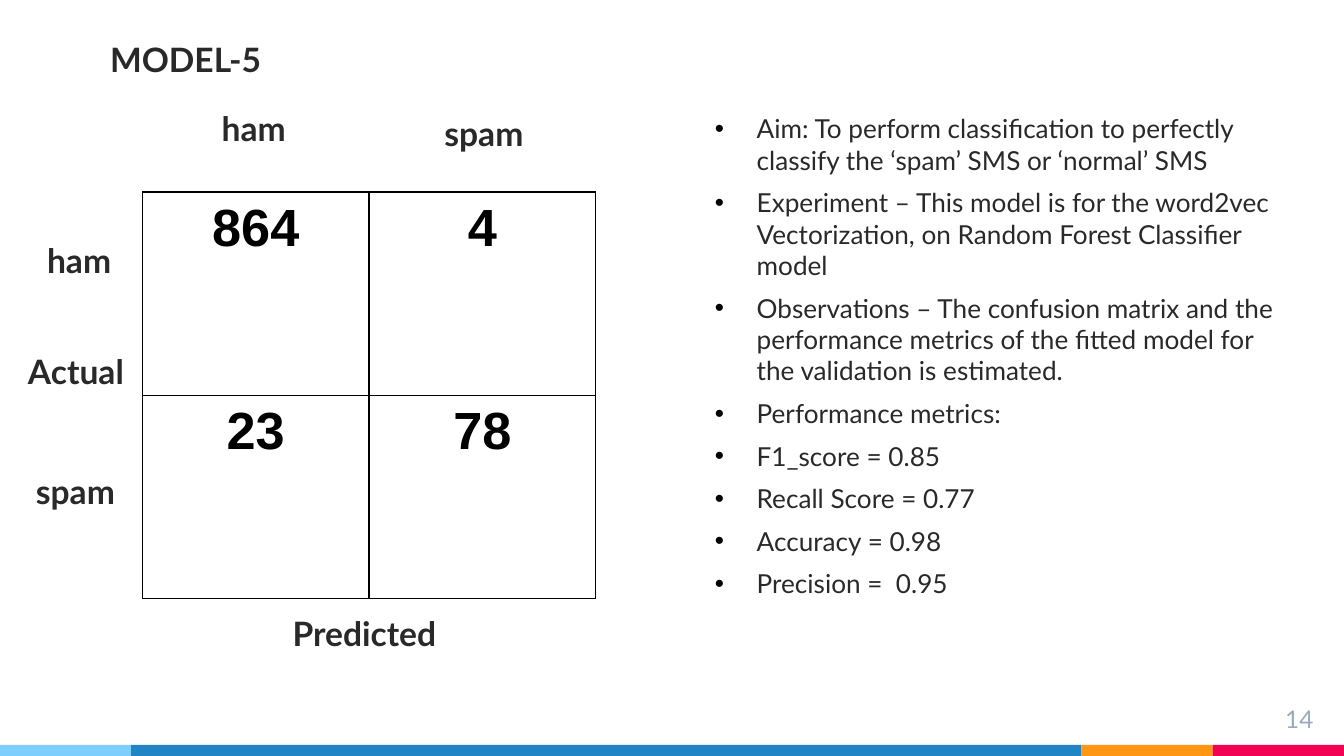
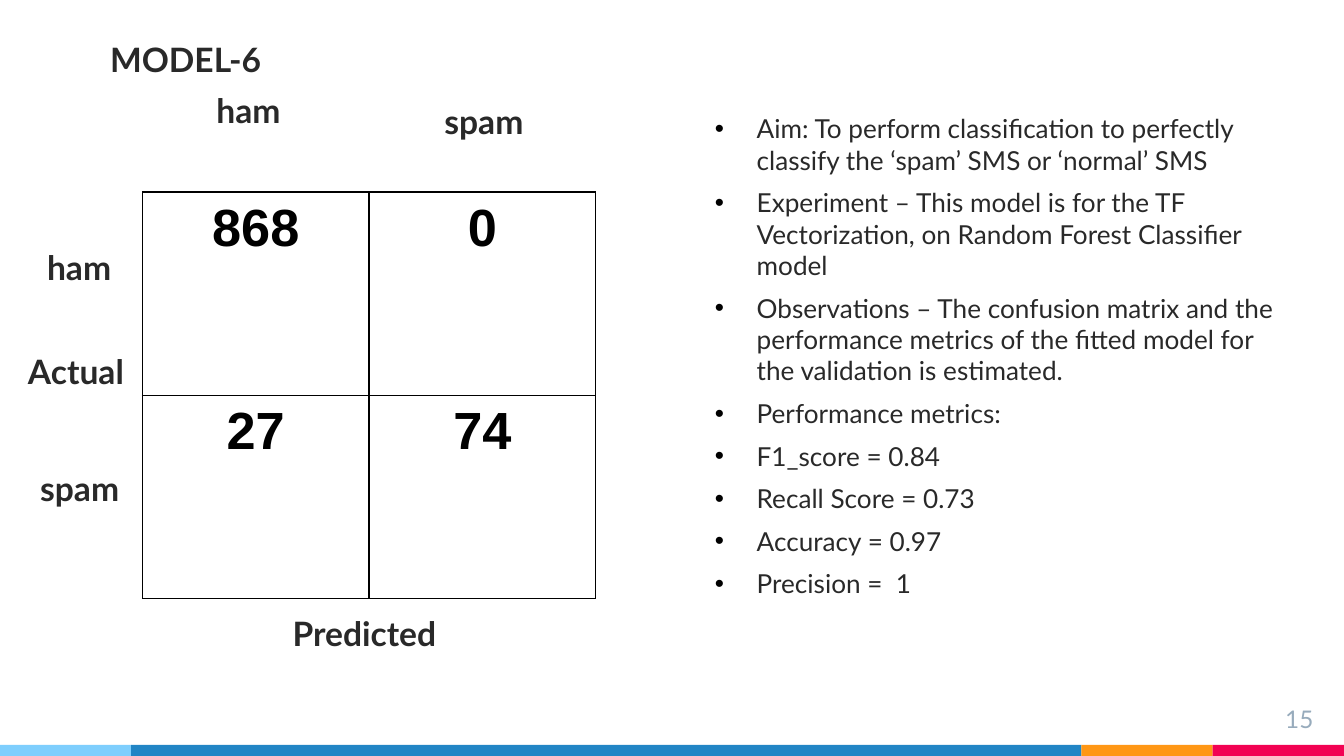
"""Builds two slides that report the confusion matrices of spam classifiers."""
from itertools import product

from pptx import Presentation
from pptx.dml.color import RGBColor
from pptx.enum.shapes import MSO_SHAPE
from pptx.enum.text import MSO_ANCHOR, MSO_AUTO_SIZE, PP_ALIGN
from pptx.oxml import parse_xml
from pptx.oxml.ns import nsdecls
from pptx.util import Cm, Pt

INK, BLACK, PAGE_GREY = "292929", "000000", "97ABBC"
SIDE_BAND = 2.48
BANDS = [
    ("7ECEFD", SIDE_BAND),
    ("2185C5", 25.4 - 3 * SIDE_BAND),
    ("FF9715", SIDE_BAND),
    ("F20253", SIDE_BAND),
]

MODELS = [
    {
        "title": "MODEL-5",
        "page": "14",
        "vectorizer": "word2vec",
        "matrix": [["864", "4"], ["23", "78"]],
        "scores": ["0.85", "0.77", "0.98", "0.95"],
        "labels": [
            ("spam", 8.15, 1.88, 2.29, 1.73),
            ("ham", 3.94, 1.8, 2.29, 1.55),
            ("spam", 0.43, 8.66, 2.36, 1.73),
            ("ham", 0.64, 4.29, 1.96, 1.73),
        ],
    },
    {
        "title": "MODEL-6",
        "page": "15",
        "vectorizer": "TF",
        "matrix": [["868", "0"], ["27", "74"]],
        "scores": ["0.84", "0.73", "0.97", "1"],
        "labels": [
            ("spam", 8.15, 1.65, 2.29, 1.73),
            ("ham", 3.84, 1.45, 5.16, 1.55),
            ("spam", 0.51, 8.59, 2.36, 1.73),
            ("ham", 0.64, 4.42, 1.96, 1.73),
        ],
    },
]
AXES = [("Actual", 0.28, 6.38, 2.36, 1.73), ("Predicted", 5.28, 11.33, 5.16, 1.73)]


def rgb(value):
    return RGBColor.from_string(value)


def write(paragraph, text, *, size=18, color=INK, bold=False, font="Lato",
          align=PP_ALIGN.LEFT, before=0):
    paragraph.alignment = align
    paragraph.space_before = Pt(before)
    paragraph.line_spacing = 1.0
    run = paragraph.add_run()
    run.text = text
    run.font.name = font
    run.font.size = Pt(size)
    run.font.bold = bold
    run.font.color.rgb = rgb(color)


class ModelDeck:
    def __init__(self):
        self.deck = Presentation()
        self.deck.slide_width, self.deck.slide_height = Cm(25.4), Cm(14.29)
        self.slide = None

    def new_slide(self, page):
        self.slide = self.deck.slides.add_slide(self.deck.slide_layouts[1])
        left = 0
        for color, width in BANDS:
            self.band(left, width, color)
            left += width
        self.label(page, 23.55, 13.06, 1.52, 0.86, size=13, color=PAGE_GREY,
                   align=PP_ALIGN.RIGHT)

    def band(self, left, width, color):
        band = self.slide.shapes.add_shape(
            MSO_SHAPE.RECTANGLE, Cm(left), Cm(14.08), Cm(width), Cm(0.21))
        band.shadow.inherit = False
        band.fill.solid()
        band.fill.fore_color.rgb = rgb(color)
        band.line.fill.background()

    def frame(self, holder, left, top, width, height):
        holder.left, holder.top = Cm(left), Cm(top)
        holder.width, holder.height = Cm(width), Cm(height)
        frame = holder.text_frame
        frame.word_wrap = True
        frame.auto_size = MSO_AUTO_SIZE.NONE
        frame.vertical_anchor = MSO_ANCHOR.TOP
        frame.margin_left = frame.margin_right = Cm(0.25)
        frame.margin_top = frame.margin_bottom = Cm(0.25)
        return frame

    def label(self, text, left, top, width, height, **style):
        box = self.slide.shapes.add_textbox(0, 0, 0, 0)
        frame = self.frame(box, left, top, width, height)
        write(frame.paragraphs[0], text, **style)

    def title(self, text):
        frame = self.frame(self.slide.shapes.title, 1.83, 0.48, 5.16, 1.73)
        write(frame.paragraphs[0], text, bold=True, before=6)

    def bullets(self, points):
        frame = self.frame(self.slide.placeholders[1], 13.26, 1.88, 11.51, 10.54)
        for index, point in enumerate(points):
            paragraph = frame.add_paragraph() if index else frame.paragraphs[0]
            write(paragraph, point, size=14, before=6)
            properties = paragraph._p.get_or_add_pPr()
            properties.set("marL", str(Cm(0.79)))
            properties.set("indent", str(-Cm(0.79)))
            for bullet in (
                f'<a:buClr {nsdecls("a")}><a:srgbClr val="{BLACK}"/></a:buClr>',
                f'<a:buFont {nsdecls("a")} typeface="Arial"/>',
                f'<a:buChar {nsdecls("a")} char="•"/>',
            ):
                properties.append(parse_xml(bullet))

    def matrix(self, counts):
        table = self.slide.shapes.add_table(
            2, 2, Cm(2.69), Cm(3.63), Cm(8.57), Cm(7.69)).table
        table.first_row = table.horz_banding = False
        for row, column in product(range(2), repeat=2):
            cell = table.cell(row, column)
            write(cell.text_frame.paragraphs[0], counts[row][column], size=28,
                  color=BLACK, bold=True, font="Arial", align=PP_ALIGN.CENTER)
            self.borders(cell)
            cell.fill.background()

    def borders(self, cell):
        properties = cell._tc.get_or_add_tcPr()
        for side in "LRTB":
            properties.append(parse_xml(
                f'<a:ln{side} {nsdecls("a")} w="{Pt(0.75)}"><a:solidFill>'
                f'<a:srgbClr val="{BLACK}"/></a:solidFill></a:ln{side}>'))


def report_points(vectorizer, scores):
    f1, recall, accuracy, precision = scores
    return [
        "Aim: To perform classification to perfectly classify the ‘spam’ SMS or ‘normal’ SMS",
        f"Experiment – This model is for the {vectorizer} Vectorization, "
        "on Random Forest Classifier model",
        "Observations – The confusion matrix and the performance metrics "
        "of the fitted model for the validation is estimated.",
        "Performance metrics:",
        f"F1_score = {f1}",
        f"Recall Score = {recall}",
        f"Accuracy = {accuracy}",
        f"Precision =  {precision}",
    ]


def main():
    report = ModelDeck()
    for model in MODELS:
        report.new_slide(model["page"])
        report.matrix(model["matrix"])
        report.bullets(report_points(model["vectorizer"], model["scores"]))
        report.title(model["title"])
        for text, *place in model["labels"] + AXES:
            report.label(text, *place, bold=True, before=6)
    report.deck.save("out.pptx")


if __name__ == "__main__":
    main()
